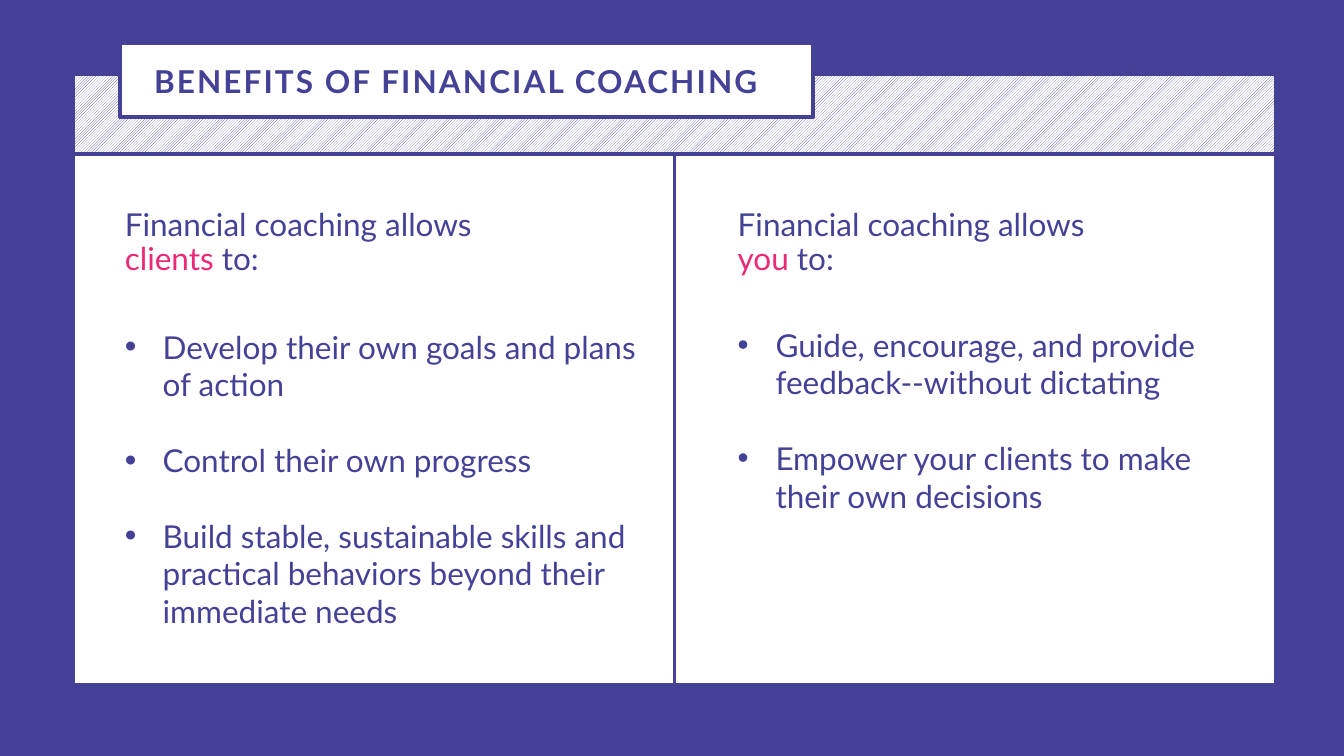
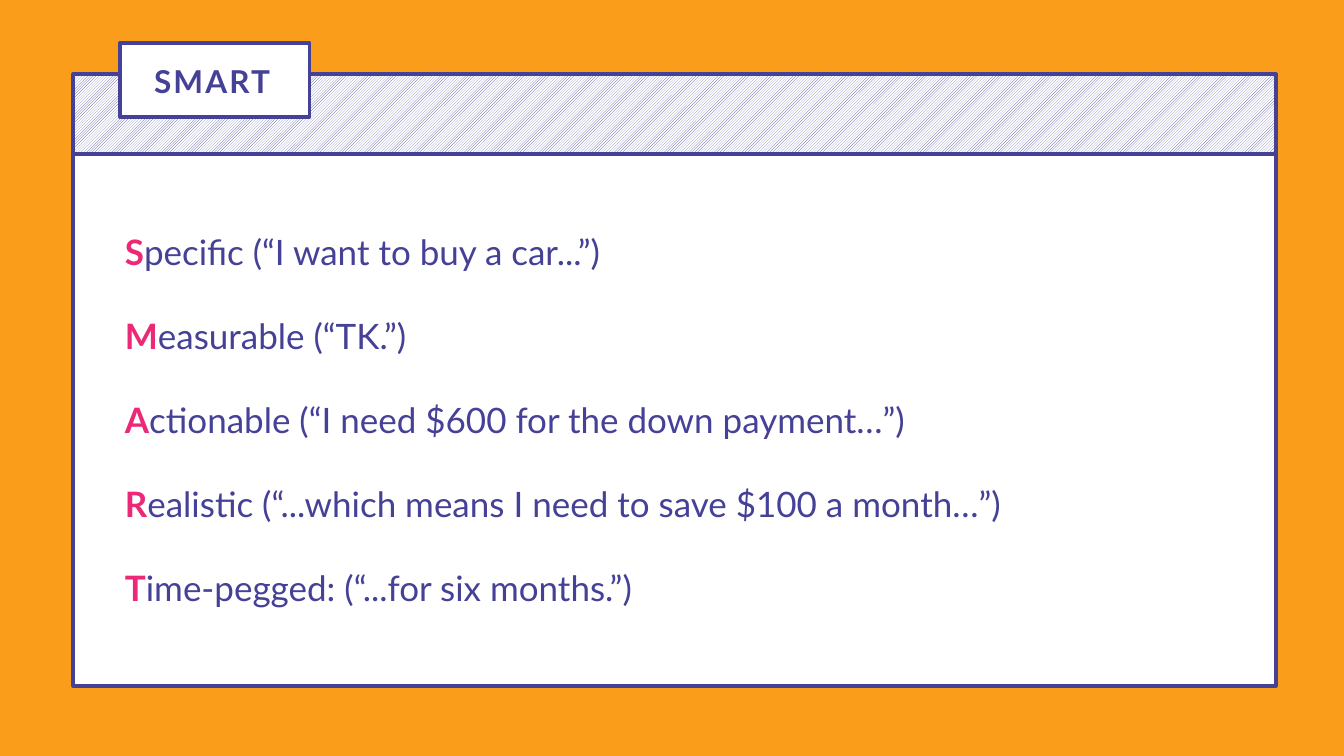
import pptx
import pptx.dml.color
import pptx.enum.dml
import pptx.enum.shapes
import pptx.enum.text
import pptx.oxml.ns
import pptx.util
from lxml import etree

INDIGO, PINK, ORANGE, WHITE = "454197", "EC2976", "F99D1B", "FFFFFF"
FONT = "Lato"
TEXT_SIZE = 45
RULE_WIDTH = 5

SLIDE_WIDTH = pptx.util.Inches(26.67)
SLIDE_HEIGHT = pptx.util.Inches(15)

# Positions are percentages of the slide's width (x) or height (y).
PANEL_LEFT, PANEL_WIDTH = 5.44, 89.5
BAND_TOP, BAND_HEIGHT = 9.8, 10.6
BODY_TOP = BAND_TOP + BAND_HEIGHT
TEXT_LEFT, RIGHT_TEXT_LEFT = 8.92, 54.52


def across(percent):
    return round(SLIDE_WIDTH * percent / 100)


def down(percent):
    return round(SLIDE_HEIGHT * percent / 100)


def place(left, top, width, height):
    return across(left), down(top), across(width), down(height)


def color(value):
    return pptx.dml.color.RGBColor.from_string(value)


def draw_outline(line):
    line.color.rgb = color(INDIGO)
    line.width = pptx.util.Pt(RULE_WIDTH)


def add_slide(deck, background):
    slide = deck.slides.add_slide(deck.slide_layouts[6])
    slide.background.fill.solid()
    slide.background.fill.fore_color.rgb = color(background)
    return slide


def add_panel(slide, *area):
    panel = slide.shapes.add_shape(
        pptx.enum.shapes.MSO_SHAPE.RECTANGLE, *place(*area))
    panel.shadow.inherit = False
    panel.fill.solid()
    panel.fill.fore_color.rgb = color(WHITE)
    draw_outline(panel.line)
    return panel


def add_hatched_band(slide):
    band = add_panel(slide, PANEL_LEFT, BAND_TOP, PANEL_WIDTH, BAND_HEIGHT)
    band.fill.patterned()
    band.fill.pattern = pptx.enum.dml.MSO_PATTERN.WIDE_UPWARD_DIAGONAL
    band.fill.fore_color.rgb = color(INDIGO)
    band.fill.back_color.rgb = color(WHITE)


def add_rule(slide, x, top, bottom):
    rule = slide.shapes.add_connector(
        pptx.enum.shapes.MSO_CONNECTOR.STRAIGHT,
        across(x), down(top), across(x), down(bottom))
    draw_outline(rule.line)
    etree.SubElement(rule._element.spPr, pptx.oxml.ns.qn("a:effectLst"))
    return rule


def add_text_box(slide, *area):
    box = slide.shapes.add_textbox(*place(*area))
    box.text_frame.word_wrap = True
    return box


def add_span(para, text, ink=INDIGO, size=TEXT_SIZE, bold=False):
    span = para.add_run()
    span.text = text
    span.font.name = FONT
    span.font.size = pptx.util.Pt(size)
    span.font.bold = bold
    span.font.color.rgb = color(ink)
    return span


def add_spaced_paragraphs(box, count, gap):
    """Yield the paragraphs of a box, each set apart from the last by gap points."""
    frame = box.text_frame
    frame.auto_size = pptx.enum.text.MSO_AUTO_SIZE.SHAPE_TO_FIT_TEXT
    for index in range(count):
        para = frame.add_paragraph() if index else frame.paragraphs[0]
        if index:
            para.space_before = pptx.util.Pt(gap)
        yield para


def add_title(slide, text, tab_width, text_width):
    add_panel(slide, TEXT_LEFT, 5.67, tab_width, 9.8)
    box = add_text_box(slide, 11.1, 7.93, text_width, 6.2)
    box.text_frame.vertical_anchor = pptx.enum.text.MSO_ANCHOR.MIDDLE
    para = box.text_frame.paragraphs[0]
    para.line_spacing = 0.9
    span = add_span(para, text, bold=True)
    span.font._element.set("spc", "300")


def add_lead(slide, area, spans):
    para = add_text_box(slide, *area).text_frame.paragraphs[0]
    para.line_spacing = 0.9
    for text, ink in spans:
        add_span(para, text, ink)


def set_bullet(para, size_percent):
    props = para._p.get_or_add_pPr()
    indent = pptx.util.Inches(0.75)
    props.set("marL", str(indent))
    props.set("indent", str(-indent))
    for tag, name, value in (("a:buSzPct", "val", str(size_percent * 1000)),
                             ("a:buFont", "typeface", "Arial"),
                             ("a:buChar", "char", "•")):
        etree.SubElement(props, pptx.oxml.ns.qn(tag)).set(name, value)


def add_bullets(slide, area, items, size_percent=100):
    box = add_text_box(slide, *area)
    paras = add_spaced_paragraphs(box, len(items), gap=54)
    for para, item in zip(paras, items):
        set_bullet(para, size_percent)
        add_span(para, item)


def add_acronym(slide, area, phrases):
    """List phrases whose first letters stand out and spell a word."""
    box = add_text_box(slide, *area)
    paras = add_spaced_paragraphs(box, len(phrases), gap=60)
    for para, phrase in zip(paras, phrases):
        add_span(para, phrase[0], PINK, size=50, bold=True)
        add_span(para, phrase[1:], size=50)


def build_benefits(deck):
    slide = add_slide(deck, INDIGO)
    body_height = 70.13
    body = add_panel(slide, PANEL_LEFT, BODY_TOP, PANEL_WIDTH, body_height)
    add_hatched_band(slide)
    add_title(slide, "BENEFITS OF FINANCIAL COACHING", 51.59, 62.92)

    add_lead(slide, (TEXT_LEFT, 27.4, 32.06, 13.4), [
        ("Financial coaching allows ", INDIGO), ("clients", PINK), (" to:", INDIGO)])
    add_bullets(slide, (TEXT_LEFT, 43, 39, 41.07), [
        "Develop their own goals and plans of action",
        "Control their own progress",
        "Build stable, sustainable skills and practical behaviors "
        "beyond their immediate needs",
    ], size_percent=105)

    add_lead(slide, (RIGHT_TEXT_LEFT, 27.4, 29.36, 28.87), [
        ("Financial coaching allows ", INDIGO), ("you ", PINK), ("to:", INDIGO)])
    add_bullets(slide, (RIGHT_TEXT_LEFT, 42.73, 35.77, 30.93), [
        "Guide, encourage, and provide feedback--without dictating",
        "Empower your clients to make their own decisions",
    ])

    divider = add_rule(slide, PANEL_LEFT + PANEL_WIDTH / 2,
                       BODY_TOP, BODY_TOP + body_height)
    divider.begin_connect(body, 0)
    divider.end_connect(body, 2)


def build_smart(deck):
    slide = add_slide(deck, ORANGE)
    add_panel(slide, PANEL_LEFT, 10.13, PANEL_WIDTH, 80.6)
    add_hatched_band(slide)
    add_title(slide, "SMART", 14.1, 10.99)
    for x in (PANEL_LEFT + PANEL_WIDTH, PANEL_LEFT):
        add_rule(slide, x, BODY_TOP, 58.53)
    add_acronym(slide, (TEXT_LEFT, 30.2, 83.73, 42.27), [
        "Specific (“I want to buy a car...”)",
        "Measurable (“TK.”)",
        "Actionable (“I need $600 for the down payment…”)",
        "Realistic (“...which means I need to save $100 a month…”)",
        "Time-pegged: (“...for six months.”)",
    ])


def main():
    deck = pptx.Presentation()
    deck.slide_width = SLIDE_WIDTH
    deck.slide_height = SLIDE_HEIGHT
    build_benefits(deck)
    build_smart(deck)
    deck.save("out.pptx")


if __name__ == "__main__":
    main()
